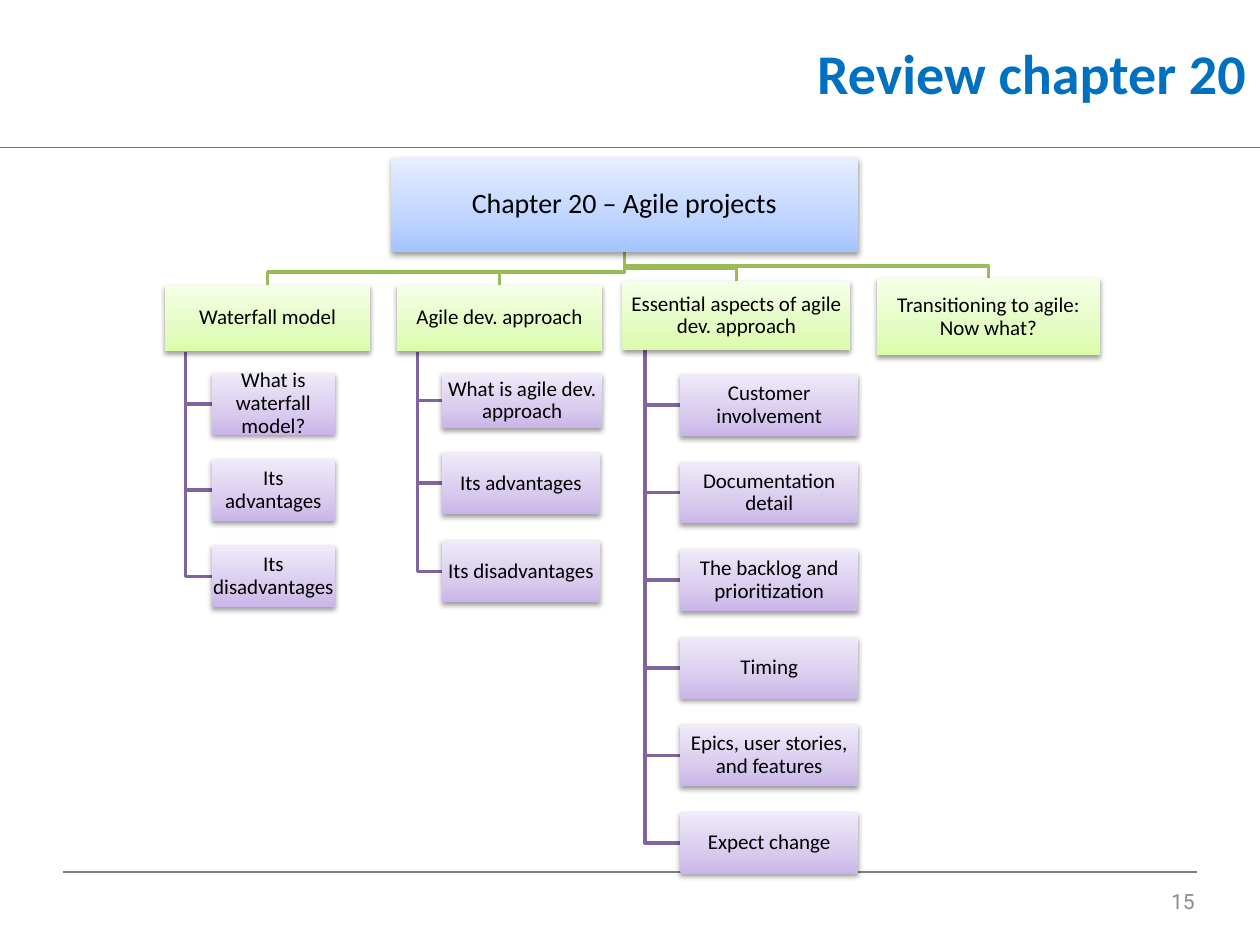
from copy import deepcopy
from typing import NamedTuple

from lxml.etree import SubElement
from pptx import Presentation
from pptx.dml.color import RGBColor
from pptx.enum.shapes import MSO_CONNECTOR, MSO_SHAPE
from pptx.enum.text import MSO_ANCHOR, MSO_AUTO_SIZE, PP_ALIGN
from pptx.oxml.ns import qn
from pptx.util import Inches, Pt

BLACK = RGBColor(0x00, 0x00, 0x00)
TITLE_BLUE = RGBColor(0x00, 0x70, 0xC0)
RULE_BLUE = RGBColor(0x4B, 0x7E, 0xBC)
RULE_GREY = RGBColor(0x80, 0x80, 0x80)
NUMBER_GREY = RGBColor(0x8C, 0x8C, 0x8C)
BRANCH_GREEN = RGBColor(0x9B, 0xBB, 0x59)
LEAF_PURPLE = RGBColor(0x80, 0x64, 0xA2)
# Gradients run from the bottom of a box to its top.
BLUE_STOPS = (RGBColor(0xA4, 0xC4, 0xFF), RGBColor(0xBF, 0xD4, 0xFF), RGBColor(0xE6, 0xEE, 0xFF))
GREEN_STOPS = (RGBColor(0xDA, 0xFD, 0xA7), RGBColor(0xE4, 0xFC, 0xC2), RGBColor(0xF5, 0xFF, 0xE7))
PURPLE_STOPS = (RGBColor(0xC9, 0xB5, 0xE8), RGBColor(0xD8, 0xCB, 0xEE), RGBColor(0xF0, 0xEA, 0xF9))
STOP_POSITIONS = (0, 0.35, 1)

LEAF_HEIGHT = 0.49
SPINE_SHARE = 0.1  # share of a branch's width at which its spine hangs
DROP = 0.1  # height of the last piece of line above a branch


class Box(NamedTuple):
    """A rectangle in inches."""
    left: float
    top: float
    width: float
    height: float

    @property
    def center(self):
        return self.left + self.width / 2

    @property
    def middle(self):
        return self.top + self.height / 2

    @property
    def bottom(self):
        return self.top + self.height

    def lengths(self):
        return [Inches(value) for value in self]


class Branch(NamedTuple):
    text: str
    box: Box
    leaves: list  # (text, box) pairs


def leaf_column(left, top, width, pitch, texts):
    return [(text, Box(left, top + row * pitch, width, LEAF_HEIGHT))
            for row, text in enumerate(texts)]


ROOT = Box(3.1, 1.25, 3.71, 0.75)
BRANCHES = [
    Branch("Waterfall model", Box(1.31, 2.26, 1.63, 0.53),
           leaf_column(1.68, 2.96, 0.98, 0.685,
                       ["What is waterfall model?", "Its advantages", "Its disadvantages"])),
    Branch("Agile dev. approach", Box(3.15, 2.26, 1.63, 0.53),
           [("What is agile dev. approach", Box(3.51, 2.96, 1.27, 0.44))]
           + leaf_column(3.51, 3.59, 1.25, 0.7, ["Its advantages", "Its disadvantages"])),
    Branch("Essential aspects of agile dev. approach", Box(4.94, 2.23, 1.81, 0.55),
           leaf_column(5.4, 2.97, 1.41, 0.695,
                       ["Customer involvement", "Documentation detail",
                        "The backlog and prioritization", "Timing",
                        "Epics, user stories, and features", "Expect change"])),
    Branch("Transitioning to agile: Now what?", Box(6.96, 2.21, 1.77, 0.61), []),
]


def add_text(paragraph, text, size, font, color, alignment):
    paragraph.alignment = alignment
    run = paragraph.add_run()
    run.text = text
    run.font.size = Pt(size)
    run.font.name = font
    run.font.color.rgb = color
    return run


def add_rule(slide, left, right, top, color):
    rule = slide.shapes.add_connector(
        MSO_CONNECTOR.STRAIGHT, Inches(left), Inches(top), Inches(right), Inches(top))
    rule.line.color.rgb = color
    rule.line.width = Pt(0.75)
    SubElement(rule._element.spPr, qn("a:effectLst"))


def add_elbow(slide, points, color):
    """Draw one bent line through points given in inches."""
    start, *others = [(Inches(x), Inches(y)) for x, y in points]
    builder = slide.shapes.build_freeform(*start)
    builder.add_line_segments(others, close=False)
    elbow = builder.convert_to_shape()
    elbow.fill.background()
    elbow.line.color.rgb = color
    elbow.line.width = Pt(2)
    elbow.shadow.inherit = False


def fill_gradient(shape, colors):
    shape.fill.gradient()
    shape.fill.gradient_angle = 90
    stops = shape._element.spPr.find(qn("a:gradFill")).find(qn("a:gsLst"))
    stops.append(deepcopy(stops[-1]))
    for stop, color, position in zip(shape.fill.gradient_stops, colors, STOP_POSITIONS):
        stop.color.rgb = color
        stop.position = position


def add_soft_shadow(shape):
    shape.shadow.inherit = False
    effects = shape._element.spPr.find(qn("a:effectLst"))
    shadow = SubElement(effects, qn("a:outerShdw"), blurRad=str(Pt(3.1)), dist=str(Pt(1.6)),
                        dir="5400000", rotWithShape="0")
    color = SubElement(shadow, qn("a:srgbClr"), val=str(BLACK))
    SubElement(color, qn("a:alpha"), val="38000")


def add_node(slide, box, text, stops, size=12):
    node = slide.shapes.add_shape(MSO_SHAPE.RECTANGLE, *box.lengths())
    fill_gradient(node, stops)
    node.line.fill.background()
    add_soft_shadow(node)
    frame = node.text_frame
    frame.word_wrap = True
    frame.vertical_anchor = MSO_ANCHOR.MIDDLE
    frame.margin_left = frame.margin_right = Inches(0.01)
    frame.margin_top = frame.margin_bottom = Inches(0.01)
    paragraph = frame.paragraphs[0]
    paragraph.line_spacing = 0.9
    add_text(paragraph, text, size, "Calibri", BLACK, PP_ALIGN.CENTER)


def add_branch(slide, root, branch):
    """Draw a branch below the root, with its leaves hanging from a spine."""
    box = branch.box
    bend = box.top - DROP
    add_elbow(slide, [(root.center, root.bottom), (root.center, bend),
                      (box.center, bend), (box.center, box.top)], BRANCH_GREEN)
    spine = box.left + box.width * SPINE_SHARE
    for text, leaf in branch.leaves:
        add_elbow(slide, [(spine, box.bottom), (spine, leaf.middle),
                          (leaf.left, leaf.middle)], LEAF_PURPLE)
        add_node(slide, leaf, text, PURPLE_STOPS)
    add_node(slide, box, branch.text, GREEN_STOPS)


def add_chart_tree(slide, root):
    for branch in BRANCHES:
        add_branch(slide, root, branch)
    add_node(slide, root, "Chapter 20 – Agile projects", BLUE_STOPS, size=16)


def add_title(slide, box):
    title = slide.shapes.title
    title.left, title.top, title.width, title.height = box.lengths()
    frame = title.text_frame
    frame.auto_size = MSO_AUTO_SIZE.NONE
    frame.vertical_anchor = MSO_ANCHOR.MIDDLE
    run = add_text(frame.paragraphs[0], "Review chapter 20", 32, "Calibri",
                   TITLE_BLUE, PP_ALIGN.RIGHT)
    run.font.bold = True


def add_slide_number(slide, box):
    frame = slide.shapes.add_textbox(*box.lengths()).text_frame
    frame.word_wrap = True
    frame.vertical_anchor = MSO_ANCHOR.MIDDLE
    add_text(frame.paragraphs[0], "15", 12, "Roboto", NUMBER_GREY, PP_ALIGN.RIGHT)


def main():
    presentation = Presentation()
    presentation.slide_width = Inches(10)
    presentation.slide_height = Inches(7.5)
    slide = presentation.slides.add_slide(presentation.slide_layouts[5])
    add_rule(slide, 0, 10, 1.17, RULE_BLUE)
    add_rule(slide, 0.5, 9.5, 6.92, RULE_GREY)
    add_title(slide, Box(2.9, 0, 7.09, 1.15))
    add_slide_number(slide, Box(7.25, 6.95, 2.33, 0.4))
    add_chart_tree(slide, ROOT)
    presentation.save("out.pptx")


if __name__ == "__main__":
    main()
